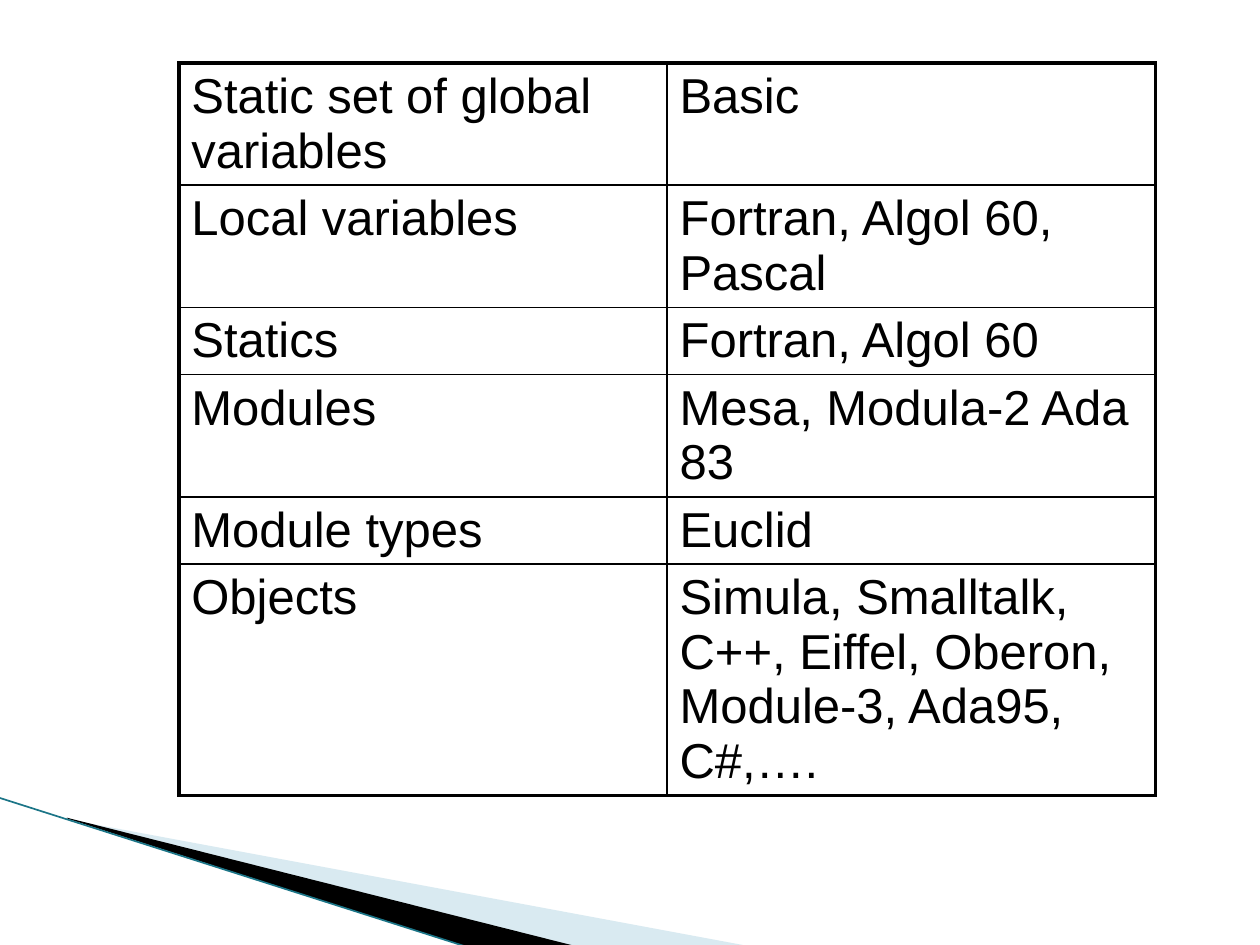
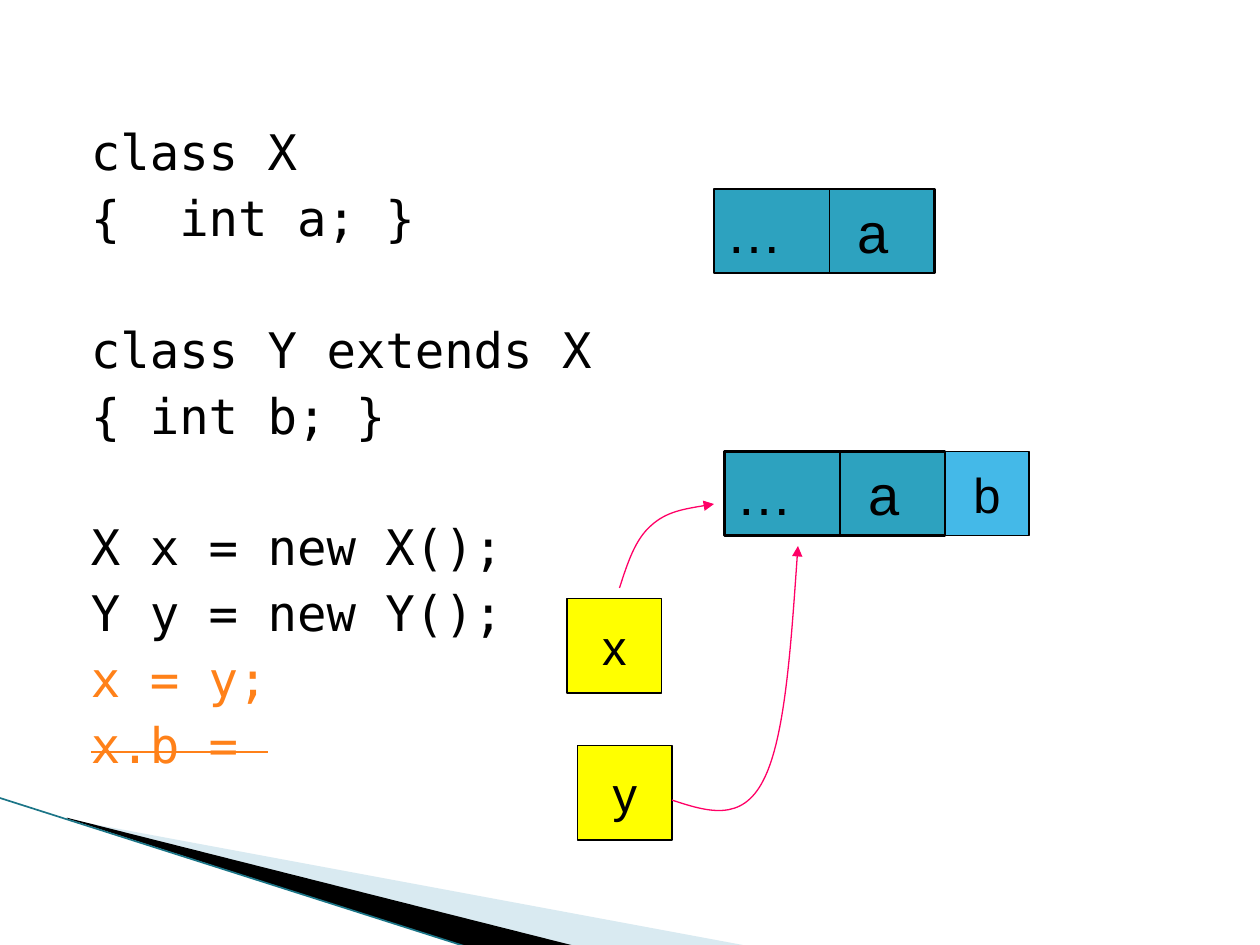
from dataclasses import dataclass

from pptx import Presentation
from pptx.dml.color import RGBColor as RGB
from pptx.enum.shapes import MSO_CONNECTOR as CONN, MSO_SHAPE as SHAPE
from pptx.enum.text import MSO_ANCHOR as ANCHOR, MSO_AUTO_SIZE as AUTO, PP_ALIGN as ALIGN
from pptx.oxml.ns import qn
from pptx.oxml.xmlchemy import OxmlElement
from pptx.util import Pt


@dataclass(frozen=True)
class Theme:
    black: str = "000000"
    mist: str = "A0CBDC"
    edge: str = "1B7587"
    teal: str = "2DA2BF"
    sky: str = "44B9E8"
    yellow: str = "FFFF00"
    pink: str = "FF0066"
    orange: str = "FF8119"
    sans: str = "Arial"
    mono: str = "DejaVu Sans Mono"
    text: int = 28
    large: int = 32
    thin: float = 0.75
    medium: float = 1.5
    thick: float = 2.25


T = Theme()

SCOPES = [  # concept, languages, lines of text in the row
    ("Static set of global variables", "Basic", 2),
    ("Local variables", "Fortran, Algol 60, Pascal", 2),
    ("Statics", "Fortran, Algol 60", 1),
    ("Modules", "Mesa, Modula-2 Ada 83", 2),
    ("Module types", "Euclid", 1),
    ("Objects", "Simula, Smalltalk, C++, Eiffel, Oberon, Module-3, Ada95, C#,….", 4),
]

CODE_BLOCKS = [
    ["class X", "{  int a; }"],
    ["class Y extends X", "{ int b; }"],
    ["X x = new X();", "Y y = new Y();", "x = y;", "x.b = "],
]


# --- helpers ---
def add_child(parent, tag, **attrs):
    el = OxmlElement(tag)
    for name, value in attrs.items():
        el.set(name, str(value))
    parent.append(el)
    return el


def style_font(p, size=T.text, name=T.sans, color=T.black):
    for r in p.runs:
        r.font.size, r.font.name = Pt(size), name
        r.font.color.rgb = RGB.from_string(color)


def style_line(sp, color, width):
    sp.line.color.rgb = RGB.from_string(color)
    sp.line.width = Pt(width)


def fill_solid(sp, color):
    sp.fill.solid()
    sp.fill.fore_color.rgb = RGB.from_string(color)


def add_line(shapes, x1, y1, x2, y2, color, width):
    cxn = shapes.add_connector(CONN.STRAIGHT, Pt(x1), Pt(y1), Pt(x2), Pt(y2))
    style_line(cxn, color, width)
    add_child(cxn._element.spPr, "a:effectLst")
    return cxn


def add_outline(shapes, points, close):
    (x, y), *rest = [(Pt(px), Pt(py)) for px, py in points]
    builder = shapes.build_freeform(x, y, scale=1.0)
    builder.add_line_segments(rest, close=close)
    sp = builder.convert_to_shape()
    sp.shadow.inherit = False
    return sp


def add_wedge(shapes, points, color, opacity=100):
    sp = add_outline(shapes, points, close=True)
    fill_solid(sp, color)
    sp.line.fill.background()
    if opacity < 100:
        clr = sp._element.spPr.find(".//" + qn("a:srgbClr"))
        add_child(clr, "a:alpha", val=opacity * 1000)
    return sp


def add_curved_arrow(shapes, points):
    """Draw a Bézier arrow: a start, then two controls and an end per segment."""
    sp = add_outline(shapes, points, close=False)
    sp.fill.background()
    style_line(sp, T.pink, T.thin)
    add_child(sp.line._get_or_add_ln(), "a:tailEnd", type="triangle")
    outline = sp._element.spPr.find(".//" + qn("a:path"))
    segments = outline.findall(qn("a:lnTo"))
    for i in range(0, len(segments), 3):
        curve = add_child(outline, "a:cubicBezTo")
        for seg in segments[i:i + 3]:
            curve.append(seg[0])
            outline.remove(seg)


def add_box(shapes, x, y, w, h, text, fill, line=T.thin, size=T.text):
    sp = shapes.add_shape(SHAPE.RECTANGLE, Pt(x), Pt(y), Pt(w), Pt(h))
    sp.shadow.inherit = False
    fill_solid(sp, fill)
    style_line(sp, T.black, line)
    tf = sp.text_frame
    tf.word_wrap = False
    tf.vertical_anchor = ANCHOR.MIDDLE
    p = tf.paragraphs[0]
    p.text = text
    p.alignment = ALIGN.CENTER
    style_font(p, size)
    return sp


def add_record(slide, x, y):
    """Draw an object's memory: inherited part and field a."""
    shapes = slide.shapes.add_group_shape().shapes
    sp = add_box(shapes, x, y, 126, 48, "…\ta", T.teal, T.medium, T.large)
    sp.text_frame.word_wrap = True
    p = sp.text_frame.paragraphs[0]
    p.alignment = ALIGN.LEFT
    tabs = add_child(p._p.get_or_add_pPr(), "a:tabLst")
    add_child(tabs, "a:tab", pos=Pt(75), algn="l")
    add_line(shapes, x + 66, y, x + 66, y + 48, T.black, T.thin)


def set_borders(cell, **widths):
    tcPr = cell._tc.get_or_add_tcPr()
    for side in "LRTB":
        ln = add_child(tcPr, "a:ln" + side, w=Pt(widths[side]))
        add_child(add_child(ln, "a:solidFill"), "a:srgbClr", val=T.black)


# --- shared corner band ---
def add_band_to_master(prs, slide):
    shapes = slide.shapes
    parts = [
        add_wedge(shapes, [(39.6, 468.4), (428.4, 540.7), (328.3, 540.7), (39.6, 468)],
                  T.mist, 40),
        add_wedge(shapes, [(38.2, 467.3), (329, 540.7), (267.8, 541.4), (38.9, 468)],
                  T.black),
        add_line(shapes, -0.7, 455.8, 267.8, 541.4, T.edge, 0.95),
    ]
    for number, part in enumerate(parts, 101):
        el = part._element
        el.xpath(".//p:cNvPr")[0].set("id", str(number))
        prs.slide_master.shapes._spTree.append(el)


# --- slide 1: scopes and languages ---
def add_scope_table(slide):
    last = len(SCOPES) - 1
    heights = [31.3 * lines + 7.2 for *_, lines in SCOPES]
    frame = slide.shapes.add_table(len(SCOPES), 2, Pt(102.2), Pt(36), Pt(558), Pt(sum(heights)))
    table = frame.table
    table.first_row = table.horz_banding = False
    for i, (*texts, _) in enumerate(SCOPES):
        table.rows[i].height = Pt(heights[i])
        for j, text in enumerate(texts):
            cell = table.cell(i, j)
            cell.text = text
            style_font(cell.text_frame.paragraphs[0])
            set_borders(cell, L=1 if j else T.thick, R=T.thick if j else 1,
                        T=1 if i else T.thick, B=T.thick if i == last else 1)
            cell.fill.background()


# --- slide 2: inheritance and assignment ---
def fill_code(body):
    body.left, body.top, body.width, body.height = Pt(36), Pt(66), Pt(312), Pt(416)
    tf = body.text_frame
    tf.auto_size = AUTO.NONE
    tf.vertical_anchor = ANCHOR.TOP
    lines = [(text, 41.6 if b and not i else 4)
             for b, block in enumerate(CODE_BLOCKS) for i, text in enumerate(block)]
    for n, (text, gap) in enumerate(lines):
        p = tf.add_paragraph() if n else tf.paragraphs[0]
        p.text = text
        p.space_before = Pt(gap)
        pPr = p._p.get_or_add_pPr()
        pPr.set("marL", str(Pt(28.8)))
        pPr.set("indent", str(Pt(-20)))
        add_child(pPr, "a:buNone")
        style_font(p, name=T.mono, color=T.orange if n >= len(lines) - 2 else T.black)
    p.runs[0].font._element.set("strike", "sngStrike")


def add_object_diagram(slide):
    shapes = slide.shapes
    add_record(slide, 408, 108)
    add_record(slide, 414, 258)
    add_box(shapes, 540, 258, 48, 48, "b", T.sky)
    add_box(shapes, 324, 342, 54, 54, "x", T.yellow)
    add_box(shapes, 330, 426, 54, 54, "y", T.yellow)
    add_curved_arrow(shapes, [(384, 457.2), (404, 463.7), (424, 470.2), (436.3, 445.7),
                              (448.6, 421.9), (452.2, 366.5), (456, 312)])
    add_curved_arrow(shapes, [(354, 336), (358.6, 321.8), (362.9, 308.2), (372.2, 300.2),
                              (380.9, 292.3), (394.6, 290.2), (408, 288)])


def main():
    prs = Presentation()
    prs.slide_width, prs.slide_height = Pt(720), Pt(540)

    slide = prs.slides.add_slide(prs.slide_layouts[6])
    add_band_to_master(prs, slide)
    add_scope_table(slide)

    slide = prs.slides.add_slide(prs.slide_layouts[1])
    title = slide.shapes.title._element
    title.getparent().remove(title)
    fill_code(slide.placeholders[1])
    add_object_diagram(slide)

    prs.save("out.pptx")


if __name__ == "__main__":
    main()
